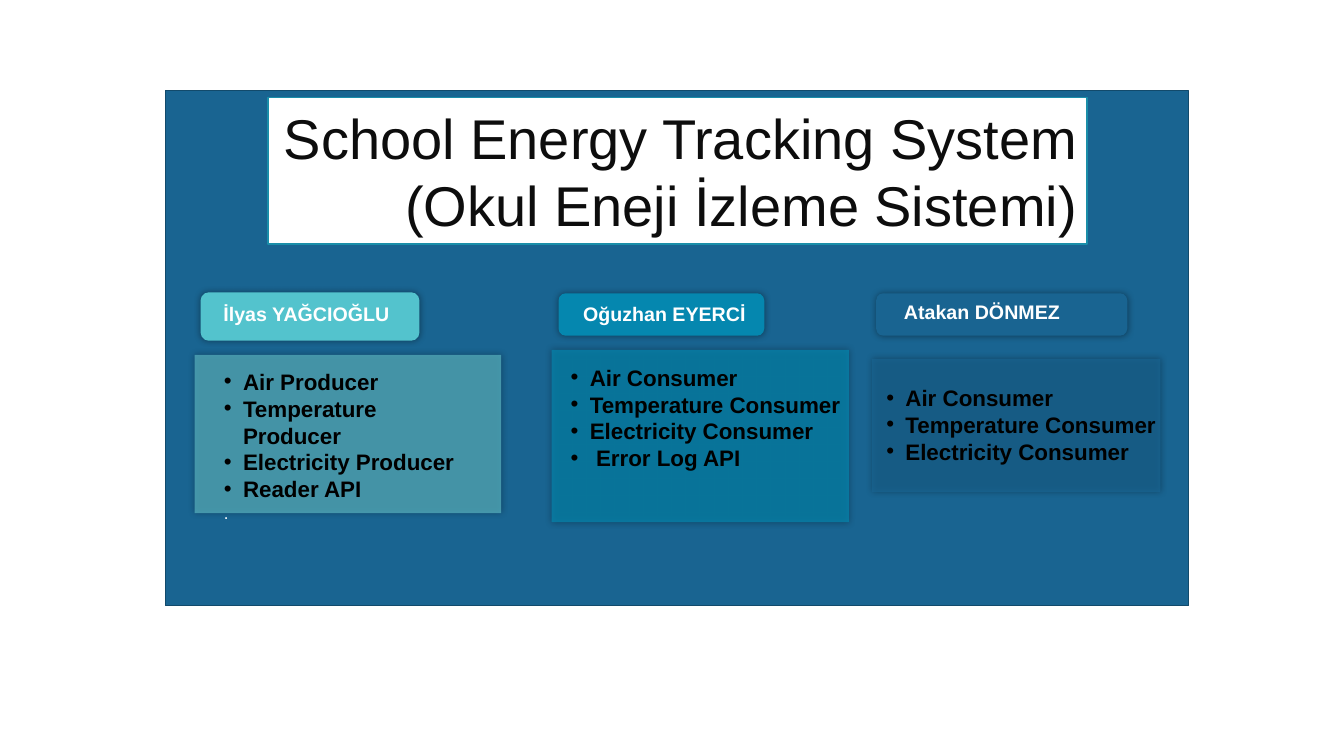
from lxml import etree
from pptx import Presentation
from pptx.dml.color import RGBColor
from pptx.enum.shapes import MSO_SHAPE
from pptx.enum.text import MSO_ANCHOR, MSO_AUTO_SIZE, PP_ALIGN
from pptx.oxml.ns import qn
from pptx.util import Inches, Pt

RECTANGLE, ROUNDED = MSO_SHAPE.RECTANGLE, MSO_SHAPE.ROUNDED_RECTANGLE
TOP, MIDDLE = MSO_ANCHOR.TOP, MSO_ANCHOR.MIDDLE
CENTER, LEFT, RIGHT = PP_ALIGN.CENTER, PP_ALIGN.LEFT, PP_ALIGN.RIGHT
NO_FIT = MSO_AUTO_SIZE.NONE
FONT = "Arial"
INDENT = Inches(0.19)

COLORS = {
    "panel": "196491", "panel_line": "124A6B", "title_line": "1A8EA9",
    "title_text": "0D0D0D", "white": "FFFFFF", "black": "000000",
    "blue": "0587AF", "teal": "5AB4C1", "aqua": "53C3CD",
}

MEMBERS = [
    {"name": "Atakan DÖNMEZ", "card_color": "panel", "tag_color": "panel",
     "card": (8.65, 3.56, 2.86, 1.32), "tag": (8.69, 2.91, 2.49, 0.42),
     "label": (8.81, 2.93, 1.86, 0.33), "list": (8.69, 3.76, 2.9, 0.91),
     "holder": 4, "tasks": ["Air Consumer", "Temperature Consumer", "Electricity Consumer"]},
    {"name": "Oğuzhan EYERCİ", "card_color": "blue", "tag_color": "blue",
     "card": (5.47, 3.47, 2.95, 1.71), "tag": (5.54, 2.91, 2.04, 0.42),
     "label": (5.59, 2.95, 2, 0.33), "list": (5.56, 3.56, 2.95, 1.16),
     "holder": 2, "tasks": ["Air Consumer", "Temperature Consumer", "Electricity Consumer",
                            " Error Log API"]},
    {"name": "İlyas YAĞCIOĞLU", "card_color": "teal", "tag_color": "aqua",
     "card": (1.93, 3.52, 3.04, 1.57), "tag": (1.99, 2.9, 2.17, 0.48),
     "label": (1.99, 2.95, 2.1, 0.38), "list": (2.12, 3.6, 2.66, 1.65),
     "holder": 1, "tasks": ["Air Producer", "Temperature Producer", "Electricity Producer",
                            "Reader API", "."]},
]

deck = Presentation()
deck.slide_width, deck.slide_height = Inches(13.33), Inches(7.5)
page = deck.slides.add_slide(deck.slide_layouts[4])
holders = {holder.placeholder_format.idx: holder for holder in page.placeholders}
unused = holders[3].element
unused.getparent().remove(unused)


def add_block(preset, place, color):
    block = page.shapes.add_shape(preset, *map(Inches, place))
    block.shadow.inherit = False
    block.fill.solid()
    block.fill.fore_color.rgb = RGBColor.from_string(COLORS[color])
    block.line.fill.background()
    return block


def write_lines(box, place, lines, size, color, bold, align, anchor):
    box.left, box.top, box.width, box.height = map(Inches, place)
    frame = box.text_frame
    frame.text = "\n".join(lines)
    frame.word_wrap = True
    frame.auto_size = NO_FIT
    frame.vertical_anchor = anchor
    for para in frame.paragraphs:
        para.alignment = align
        para.space_before = Pt(0)
        para.font.name = FONT
        para.font.size = Pt(size)
        para.font.bold = bold
        para.font.color.rgb = RGBColor.from_string(COLORS[color])
    page.shapes._spTree.append(box.element)
    return frame


panel = add_block(RECTANGLE, (1.64, 0.9, 10.15, 5.11), "panel")
panel.line.color.rgb = RGBColor.from_string(COLORS["panel_line"])
panel.line.width = Pt(1)

title = page.shapes.title
write_lines(title, (2.66, 0.97, 8.12, 1.45),
            ["School Energy Tracking System", "(Okul Eneji İzleme Sistemi)"],
            40, "title_text", False, RIGHT, MIDDLE)
title.fill.solid()
title.fill.fore_color.rgb = RGBColor.from_string(COLORS["white"])
title.line.color.rgb = RGBColor.from_string(COLORS["title_line"])
title.line.width = Pt(1)

for member in MEMBERS:
    card = add_block(RECTANGLE, member["card"], member["card_color"])
    tag = add_block(ROUNDED, member["tag"], member["tag_color"])
    tint = card.element.spPr.find(qn("a:solidFill"))[0]
    etree.SubElement(tint, qn("a:alpha"), val="70000")
    for block in (card, tag):
        effects = block.element.spPr.find(qn("a:effectLst"))
        shadow = etree.SubElement(effects, qn("a:outerShdw"), blurRad=str(Pt(5)),
                                  dist="0", dir="0", algn="ctr", rotWithShape="0")
        shade = etree.SubElement(shadow, qn("a:srgbClr"), val=COLORS["black"])
        etree.SubElement(shade, qn("a:alpha"), val="40000")

    label = page.shapes.add_textbox(*map(Inches, member["label"]))
    write_lines(label, member["label"], [member["name"]], 14, "white", True, CENTER, TOP)

    tasks = write_lines(holders[member["holder"]], member["list"], member["tasks"],
                        16, "black", True, LEFT, TOP)
    for para in tasks.paragraphs:
        settings = para._p.get_or_add_pPr()
        bulleted = para.text != "."
        settings.set("marL", str(INDENT if bulleted else 0))
        settings.set("indent", str(-INDENT if bulleted else 0))
        if bulleted:
            marks = [etree.Element(qn("a:buFont"), typeface=FONT),
                     etree.Element(qn("a:buChar"), char="•")]
        else:
            marks = [etree.Element(qn("a:buNone"))]
            para.font.size = Pt(12)
            para.font.bold = False
            para.font.color.rgb = RGBColor.from_string(COLORS["white"])
        for mark in marks:
            settings.find(qn("a:defRPr")).addprevious(mark)

deck.save("out.pptx")
